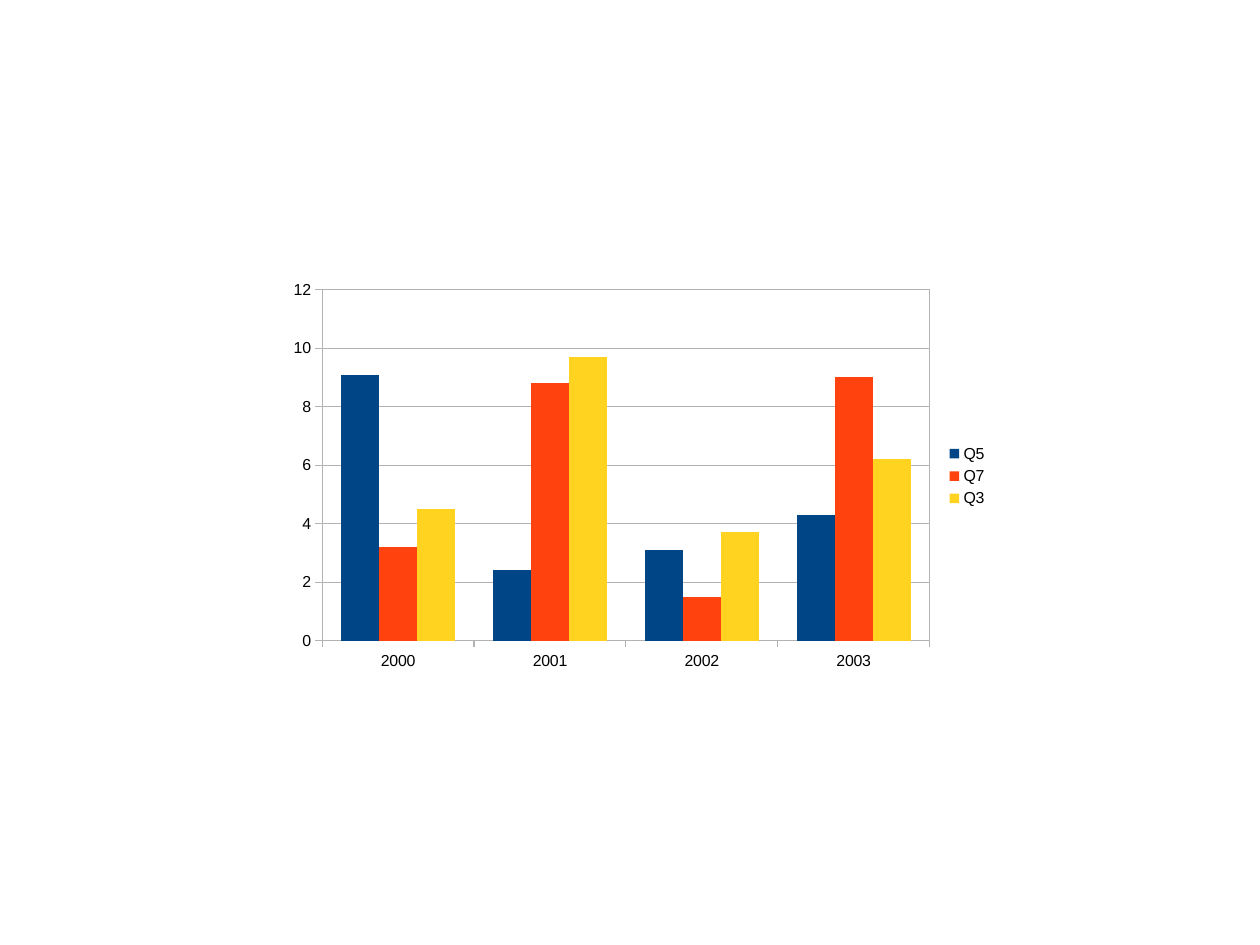
from lxml import etree
from pptx import Presentation
from pptx.chart.data import CategoryChartData
from pptx.dml.color import RGBColor
from pptx.enum.chart import XL_CHART_TYPE, XL_LEGEND_POSITION, XL_TICK_MARK
from pptx.oxml import parse_xml
from pptx.oxml.ns import nsdecls, qn
from pptx.util import Cm, Pt

COLUMNS = XL_CHART_TYPE.COLUMN_CLUSTERED
LEGEND_RIGHT = XL_LEGEND_POSITION.RIGHT
TICK_OUT, TICK_NONE = XL_TICK_MARK.OUTSIDE, XL_TICK_MARK.NONE

BLACK = RGBColor(0x00, 0x00, 0x00)
GRAY = RGBColor(0xB3, 0xB3, 0xB3)
BLUE = RGBColor(0x00, 0x45, 0x86)
ORANGE = RGBColor(0xFF, 0x42, 0x0E)
YELLOW = RGBColor(0xFF, 0xD3, 0x20)

# The slide is a grid of 28 columns and 21 rows, each one centimetre
GRID_COLUMNS, GRID_ROWS = 28, 21
CELL = Cm(1)

YEARS = ["2000", "2001", "2002", "2003"]
QUARTERS = [
    ("Q5", BLUE, (9.1, 2.4, 3.1, 4.3)),
    ("Q7", ORANGE, (3.2, 8.8, 1.5, 9)),
    ("Q3", YELLOW, (4.5, 9.7, 3.7, 6.2)),
]


def format_text(text, font="Arial", size=10, color=BLACK):
    """Format the text of a chart, axis or legend."""
    text.font.name = font
    text.font.size = Pt(size)
    text.font.color.rgb = color


def format_line(line):
    line.color.rgb = GRAY
    line.width = Pt(0.75)


def frame_plot(chart, **shares):
    """Fix the inner plot area, in shares of the chart, and draw its border."""
    plot_area = chart.element.find(".//" + qn("c:plotArea"))
    for automatic in plot_area.findall(qn("c:layout")):
        plot_area.remove(automatic)
    layout = parse_xml(f"<c:layout {nsdecls('c')}/>")
    manual = etree.SubElement(layout, qn("c:manualLayout"))
    settings = {"layoutTarget": "inner", "xMode": "edge", "yMode": "edge", **shares}
    for tag, value in settings.items():
        etree.SubElement(manual, qn(f"c:{tag}")).set("val", str(value))
    plot_area.insert(0, layout)
    plot_area.append(parse_xml(
        f'<c:spPr {nsdecls("c", "a")}><a:noFill/><a:ln w="{Pt(0.75)}">'
        f'<a:solidFill><a:srgbClr val="{GRAY}"/></a:solidFill></a:ln></c:spPr>'))


def add_quarter_chart(slide, left, top, width, height):
    """Place the clustered columns in a box given in grid columns and rows."""
    quarter_data = CategoryChartData()
    quarter_data.categories = YEARS
    for quarter, _, values in QUARTERS:
        quarter_data.add_series(quarter, values)
    box = [round(cells * CELL) for cells in (left, top, width, height)]
    chart = slide.shapes.add_chart(COLUMNS, *box, quarter_data).chart
    chart.has_title = False
    format_text(chart)

    # Columns
    columns = chart.plots[0]
    columns.gap_width, columns.overlap = 100, 0
    columns.vary_by_categories = False
    for series, (_, color, _) in zip(columns.series, QUARTERS):
        series.format.fill.solid()
        series.format.fill.fore_color.rgb = color

    # Axes and gridlines
    years, scale = chart.category_axis, chart.value_axis
    for axis in (years, scale):
        axis.major_tick_mark, axis.minor_tick_mark = TICK_OUT, TICK_NONE
        format_text(axis.tick_labels)
        format_line(axis.format.line)
    scale.minimum_scale, scale.maximum_scale, scale.major_unit = 0, 12, 2
    scale.has_major_gridlines = True
    format_line(scale.major_gridlines.format.line)

    # Legend
    chart.has_legend = True
    chart.legend.position = LEGEND_RIGHT
    chart.legend.include_in_layout = False
    format_text(chart.legend)

    # Plot area
    frame_plot(chart, x=0.06, y=0.04, w=13.5 / width, h=7.8 / height)


deck = Presentation()
deck.slide_width, deck.slide_height = GRID_COLUMNS * CELL, GRID_ROWS * CELL
chart_slide = deck.slides.add_slide(deck.slide_layouts[6])
add_quarter_chart(chart_slide, left=6.2, top=6.08, width=16, height=9)
deck.save("out.pptx")
